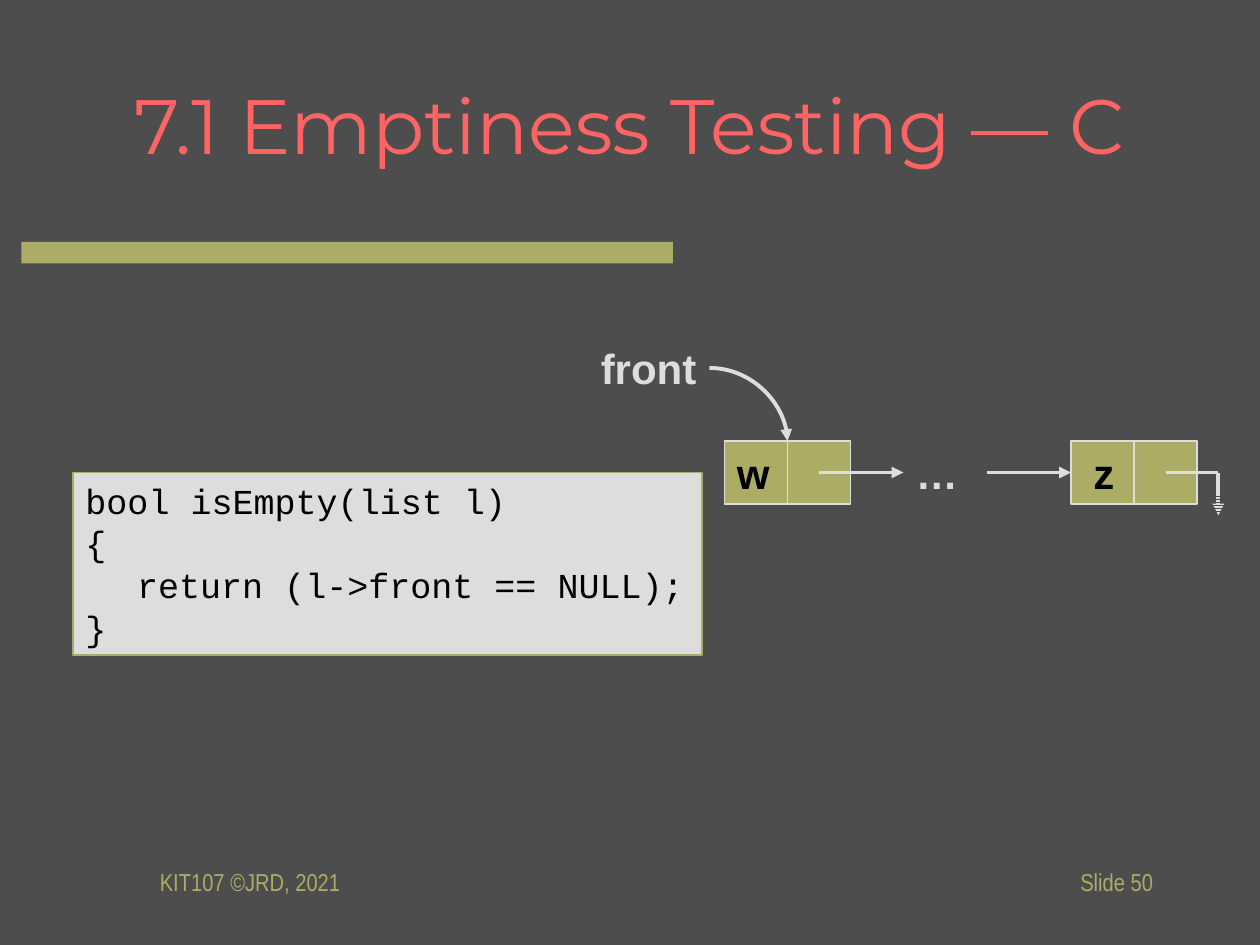
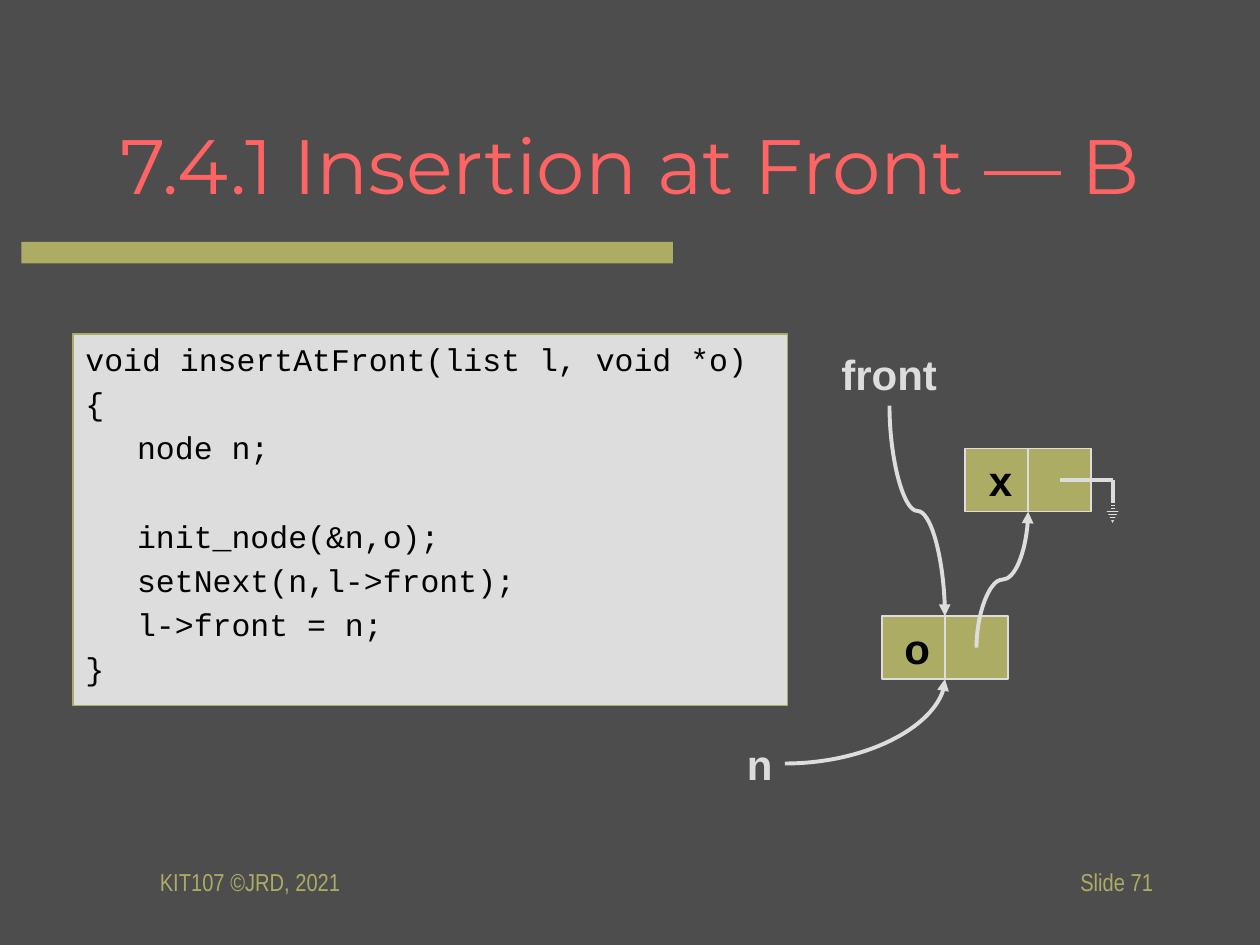
from dataclasses import dataclass

from lxml.etree import SubElement
from pptx import Presentation
from pptx.dml.color import RGBColor
from pptx.enum.shapes import MSO_CONNECTOR as Connector, MSO_SHAPE as Shape
from pptx.enum.text import MSO_ANCHOR as Anchor, PP_ALIGN as Align
from pptx.oxml.ns import qn
from pptx.util import Inches, Pt


@dataclass(frozen=True)
class Theme:
    """Colours, fonts and type sizes shared by the slides."""

    background: str = "4D4D4D"
    olive: str = "ACAC64"
    pale: str = "DDDDDD"
    coral: str = "FF6464"
    black: str = "000000"
    title: tuple = ("Montserrat", 44, False)
    label: tuple = ("Arial", 24, True)
    footer: tuple = ("Arial Narrow", 14, False)
    code_font: str = "Courier New"
    thin: float = 1
    thick: float = 2.25


THEME = Theme()
NODE_WIDTH, NODE_HEIGHT = 1, 0.5
CODE_LEADING = 1.21
CODE_TAB = 0.41


def set_values(target, values):
    """Set each attribute of the target from a dict."""
    for name, value in values.items():
        setattr(target, name, value)


def add_paragraph_text(paragraph, text, style, color, align=Align.LEFT):
    """Write one run of text in the given style."""
    name, size, bold = style
    paragraph.alignment = align
    run = paragraph.add_run()
    run.text = text
    set_values(run.font, {"name": name, "size": Pt(size), "bold": bold})
    run.font.color.rgb = RGBColor.from_string(color)


def add_text(slide, box, text, style, color, align=Align.LEFT, anchor=Anchor.MIDDLE, wrap=True):
    """Add a text box holding a single line."""
    shape = slide.shapes.add_textbox(*map(Inches, box))
    set_values(shape.text_frame, {"word_wrap": wrap, "vertical_anchor": anchor})
    add_paragraph_text(shape.text_frame.paragraphs[0], text, style, color, align)
    return shape


def add_label(slide, left, top, width, text, color=THEME.pale):
    """Add a bold diagram label."""
    return add_text(slide, (left, top, width, NODE_HEIGHT), text, THEME.label, color,
                    anchor=Anchor.TOP, wrap=False)


def add_rectangle(slide, box, fill, line=None):
    """Add a flat rectangle with an optional outline."""
    shape = slide.shapes.add_shape(Shape.RECTANGLE, *map(Inches, box))
    shape.shadow.inherit = False
    shape.fill.solid()
    shape.fill.fore_color.rgb = RGBColor.from_string(fill)
    if line:
        shape.line.color.rgb = RGBColor.from_string(line)
        shape.line.width = Pt(THEME.thin)
    else:
        shape.line.fill.background()
    return shape


def add_line(slide, start, end, width=THEME.thick, color=THEME.pale, arrow=False,
             kind=Connector.STRAIGHT):
    """Add a connector, with an arrowhead at its end on request."""
    connector = slide.shapes.add_connector(kind, *map(Inches, (*start, *end)))
    connector.line.color.rgb = RGBColor.from_string(color)
    connector.line.width = Pt(width)
    properties = connector._element.spPr
    if arrow:
        SubElement(properties.find(qn("a:ln")), qn("a:tailEnd"), type="triangle")
    SubElement(properties, qn("a:effectLst"))
    return connector


def add_quarter_curve(slide, start, end):
    """Add a curved arrow that leaves sideways and arrives vertically."""
    connector = add_line(slide, start, end, arrow=True, kind=Connector.CURVE)
    connector._element.spPr.find(qn("a:prstGeom")).set("prst", "curvedConnector2")
    return connector


def add_upright_curve(slide, start, end):
    """Add an S-shaped arrow that leaves and arrives vertically."""
    middle_x, middle_y = (start[0] + end[0]) / 2, (start[1] + end[1]) / 2
    reach, rise = (end[1] - start[1]) / 2, (end[0] - start[0]) / 2
    connector = add_line(slide, (middle_x + reach, middle_y - rise),
                         (middle_x - reach, middle_y + rise), arrow=True, kind=Connector.CURVE)
    connector._element.spPr.find(qn("a:xfrm")).set("rot", str(270 * 60000))


def add_node(slide, left, top):
    """Add a list node split into a data half and a pointer half."""
    node = add_rectangle(slide, (left, top, NODE_WIDTH, NODE_HEIGHT), THEME.olive, THEME.pale)
    middle = left + NODE_WIDTH / 2
    divider = add_line(slide, (middle, top), (middle, top + NODE_HEIGHT), THEME.thin)
    divider.begin_connect(node, 0)
    divider.end_connect(node, 2)
    return node


def add_ground(slide, node_left, node_top):
    """Add the null pointer symbol that leaves a node's pointer half."""
    start, drop, top = node_left + 0.75, node_left + 1.17, node_top + NODE_HEIGHT / 2
    add_line(slide, (start, top), (drop, top))
    add_line(slide, (drop, top), (drop, top + 0.34), arrow=True)
    for index in range(6):
        stripe = top + 0.19 + 0.12 * index / 5
        add_line(slide, (drop - 0.12, stripe), (drop + 0.13, stripe), THEME.thin, THEME.background)


def add_code(slide, box, size, lines, gap=0, breaks=()):
    """Add a code panel; line numbers in breaks get an empty line's space above."""
    panel = add_rectangle(slide, box, THEME.pale, THEME.olive)
    frame = panel.text_frame
    set_values(frame, {"word_wrap": False, "vertical_anchor": Anchor.TOP})
    leading = size * CODE_LEADING
    for index, line in enumerate(lines):
        paragraph = frame.add_paragraph() if index else frame.paragraphs[0]
        space = (gap if index else 0) + (leading + gap if index in breaks else 0)
        set_values(paragraph, {"line_spacing": Pt(leading), "space_before": Pt(space)})
        add_paragraph_text(paragraph, line, (THEME.code_font, size, False), THEME.black)
        tabs = SubElement(paragraph._p.get_or_add_pPr(), qn("a:tabLst"))
        SubElement(tabs, qn("a:tab"), pos=str(Inches(CODE_TAB)), algn="l")


def add_base_slide(presentation, title, title_box, number):
    """Add a slide with background, band, title and footers."""
    slide = presentation.slides.add_slide(presentation.slide_layouts[6])
    slide.background.fill.solid()
    slide.background.fill.fore_color.rgb = RGBColor.from_string(THEME.background)
    add_rectangle(slide, (0.17, 1.92, 5.17, 0.17), THEME.olive)
    add_text(slide, title_box, title, THEME.title, THEME.coral, Align.CENTER)
    footers = ((1.17, "KIT107 ©JRD, 2021", Align.LEFT), (7.17, f"Slide {number}", Align.RIGHT))
    for left, text, align in footers:
        add_text(slide, (left, 6.75, 2.08, 0.5), text, THEME.footer, THEME.olive, align)
    return slide


def add_chain_diagram(slide, left, top):
    """Draw front pointing at a chain of nodes from w to z."""
    first, last, node_top = left + 1.08, left + 3.83, top + 0.83
    middle = node_top + NODE_HEIGHT / 2
    first_node = add_node(slide, first, node_top)
    last_node = add_node(slide, last, node_top)
    front = add_label(slide, left, top, 0.96, "front")
    dots = add_label(slide, first + 1.42, node_top, 0.53, "…")
    pointer = add_quarter_curve(slide, (left + 0.96, top + 0.25), (first + 0.5, node_top))
    pointer.begin_connect(front, 3)
    pointer.end_connect(first_node, 0)
    for start, target, end in ((first + 0.75, dots, first + 1.42), (last - 0.67, last_node, last)):
        add_line(slide, (start, middle), (end, middle), arrow=True).end_connect(target, 1)
    add_ground(slide, last, node_top)
    add_label(slide, first, node_top, 0.46, "w", THEME.black)
    add_label(slide, last + 0.08, node_top, 0.37, "z", THEME.black)


def add_insertion_diagram(slide, left, top):
    """Draw the new node o linked in between front and node x."""
    new_left, new_top = left + 1.17, top + 2.17
    old_left, old_top = left + 1.83, top + 0.84
    new_node = add_node(slide, new_left, new_top)
    add_node(slide, old_left, old_top)
    add_label(slide, new_left + 0.08, new_top, 0.4, "o", THEME.black)
    add_label(slide, old_left + 0.09, old_top, 0.39, "x", THEME.black)
    add_label(slide, left + 0.75, top, 0.96, "front")
    name = add_label(slide, left, top + 3.09, 0.4, "n")
    pointer = add_quarter_curve(slide, (left + 0.4, top + 3.34),
                                (new_left + 0.5, new_top + NODE_HEIGHT))
    pointer.begin_connect(name, 3)
    pointer.end_connect(new_node, 2)
    add_upright_curve(slide, (left + 1.23, top + 0.5), (new_left + 0.5, new_top))
    add_ground(slide, old_left, old_top)
    add_upright_curve(slide, (new_left + 0.75, new_top + 0.25),
                      (old_left + 0.5, old_top + NODE_HEIGHT))


def build_emptiness_slide(presentation):
    """Build the emptiness testing slide."""
    slide = add_base_slide(presentation, "7.1 Emptiness Testing — C", (0.75, 0.36, 8.5, 1.25), 50)
    add_code(slide, (0.58, 3.75, 4.99, 1.45), 20,
             ("bool isEmpty(list l)", "{", "\treturn (l->front == NULL);", "}"))
    add_chain_diagram(slide, 4.67, 2.67)


def build_insertion_slide(presentation):
    """Build the insertion at front slide."""
    slide = add_base_slide(presentation, "7.4.1 Insertion at Front — B",
                           (0.17, 0.67, 9.67, 1.25), 71)
    add_insertion_diagram(slide, 5.83, 2.72)
    add_code(slide, (0.58, 2.65, 5.67, 2.95), 18,
             ("void insertAtFront(list l, void *o)", "{", "\tnode n;", "\tinit_node(&n,o);",
              "\tsetNext(n,l->front);", "\tl->front = n;", "}"), gap=3.4, breaks=(3,))


def main():
    """Build and save the presentation."""
    presentation = Presentation()
    set_values(presentation, {"slide_width": Inches(10), "slide_height": Inches(7.5)})
    build_emptiness_slide(presentation)
    build_insertion_slide(presentation)
    presentation.save("out.pptx")


if __name__ == "__main__":
    main()
